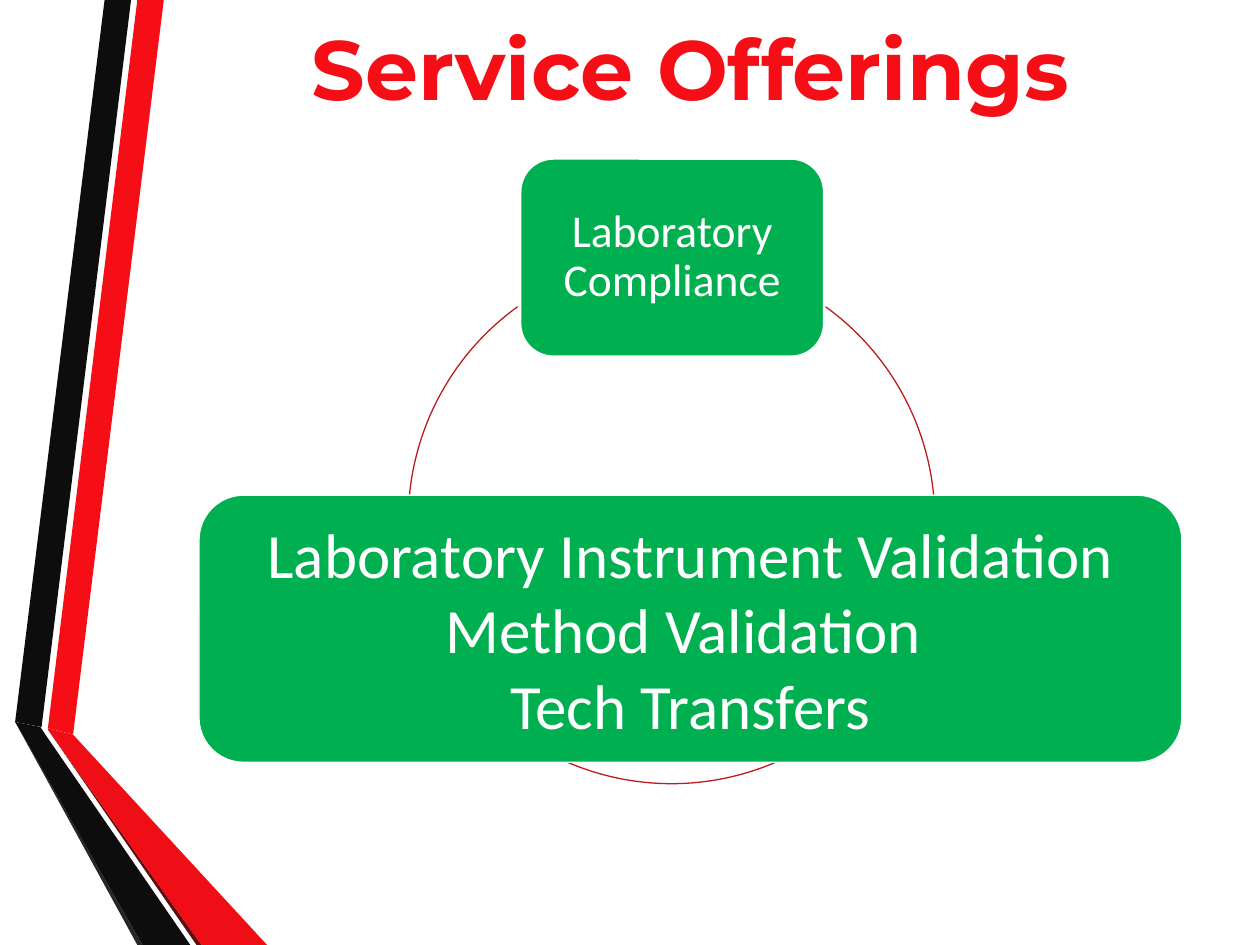
from dataclasses import dataclass

from pptx import Presentation
from pptx.dml.color import RGBColor
from pptx.enum.shapes import MSO_SHAPE
from pptx.enum.text import MSO_ANCHOR, PP_ALIGN
from pptx.util import Inches, Pt

ROUNDED = MSO_SHAPE.ROUNDED_RECTANGLE
ARC = MSO_SHAPE.ARC
MIDDLE = MSO_ANCHOR.MIDDLE
CENTER = PP_ALIGN.CENTER


@dataclass(frozen=True)
class Theme:
    red: str = "F60E16"
    fold_red: str = "EF0E15"
    dark_red: str = "5E0E0E"
    arc_red: str = "BC1C1C"
    black: str = "0D0D0D"
    gray: str = "262626"
    green: str = "00B050"
    white: str = "FFFFFF"
    heading_font: str = "Montserrat"
    body_font: str = "Calibri"
    title_size: int = 48
    service_size: int = 36
    topic_size: int = 26


def write_text(frame, lines, *, font, size, color, bold=False,
               spacing=None, inset=None):
    """Fill a frame with centred paragraphs, one for each line."""
    frame.word_wrap = True
    frame.vertical_anchor = MIDDLE
    if inset is not None:
        frame.margin_left = frame.margin_right = Inches(inset)
        frame.margin_top = frame.margin_bottom = Inches(inset)
    for index, line in enumerate(lines):
        paragraph = frame.paragraphs[0] if index == 0 else frame.add_paragraph()
        paragraph.alignment = CENTER
        if spacing:
            paragraph.line_spacing = spacing
        run = paragraph.add_run()
        run.text = line
        run.font.name = font
        run.font.size = Pt(size)
        run.font.bold = bold
        run.font.color.rgb = RGBColor.from_string(color)


class SlideBuilder:
    def __init__(self, slide, theme):
        self.shapes = slide.shapes
        self.theme = theme

    def style(self, shape, fill=None, line=None, width=0.75):
        shape.shadow.inherit = False
        for part, color in ((shape.fill, fill), (shape.line.fill, line)):
            if color:
                part.solid()
                part.fore_color.rgb = RGBColor.from_string(color)
            else:
                part.background()
        if line:
            shape.line.width = Pt(width)

    def ribbon(self, points, color):
        start, *others = [(Inches(x), Inches(y)) for x, y in points]
        outline = self.shapes.build_freeform(*start)
        outline.add_line_segments(others, close=True)
        self.style(outline.convert_to_shape(), fill=color)

    def title(self, text, box):
        frame = self.shapes.add_textbox(*map(Inches, box)).text_frame
        write_text(frame, [text], font=self.theme.heading_font, bold=True,
                   size=self.theme.title_size, color=self.theme.red)

    def card(self, lines, box, size, line_width=0.75, **text_format):
        card = self.shapes.add_shape(ROUNDED, *map(Inches, box))
        self.style(card, self.theme.green, self.theme.white, line_width)
        write_text(card.text_frame, lines, font=self.theme.body_font,
                   size=size, color=self.theme.white, **text_format)

    def arc(self, box, start, end):
        """Draw part of a circle; angles are degrees clockwise from east."""
        arc = self.shapes.add_shape(ARC, *map(Inches, box))
        for index, angle in enumerate((start, end)):
            arc.adjustments[index] = angle * 0.6  # 60000 units per degree
        self.style(arc, line=self.theme.arc_red)


def main():
    deck = Presentation()
    deck.slide_width, deck.slide_height = Inches(10), Inches(7.5)
    theme = Theme()
    builder = SlideBuilder(deck.slides.add_slide(deck.slide_layouts[6]), theme)

    ribbons = [
        ([(0.38, 5.78), (0.58, 5.83), (1.3, 0), (1.09, 0)], theme.red),
        ([(1.04, 0), (0.83, 0), (0.12, 5.73), (0.33, 5.77)], theme.black),
        ([(0.12, 5.73), (1.09, 7.5), (1.13, 7.5)], theme.gray),
        ([(0.38, 5.79), (1.56, 7.5), (1.6, 7.5)], theme.dark_red),
        ([(0.38, 5.79), (1.6, 7.5), (2.12, 7.5), (0.58, 5.83), (0.38, 5.78)],
         theme.fold_red),
        ([(1.51, 7.5), (0.36, 5.83), (0.32, 5.77), (0.12, 5.73), (1.13, 7.5)],
         theme.black),
    ]
    for points, color in ribbons:
        builder.ribbon(points, color)

    builder.title("Service Offerings", (1.37, 0.19, 8.22, 0.68))
    builder.card(["Laboratory Compliance"], (4.13, 1.26, 2.41, 1.57),
                 theme.topic_size, line_width=1.25, spacing=0.9, inset=0.11)

    cycle = (3.24, 2.04, 4.18, 4.18)
    for start, end in ((305.8, 6.6), (61.5, 118.5), (173.4, 234.2)):
        builder.arc(cycle, start, end)

    services = ["Laboratory Instrument Validation", "Method Validation ",
                "Tech Transfers"]
    builder.card(services, (1.58, 3.93, 7.8, 2.12), theme.service_size)

    deck.save("out.pptx")


if __name__ == "__main__":
    main()
